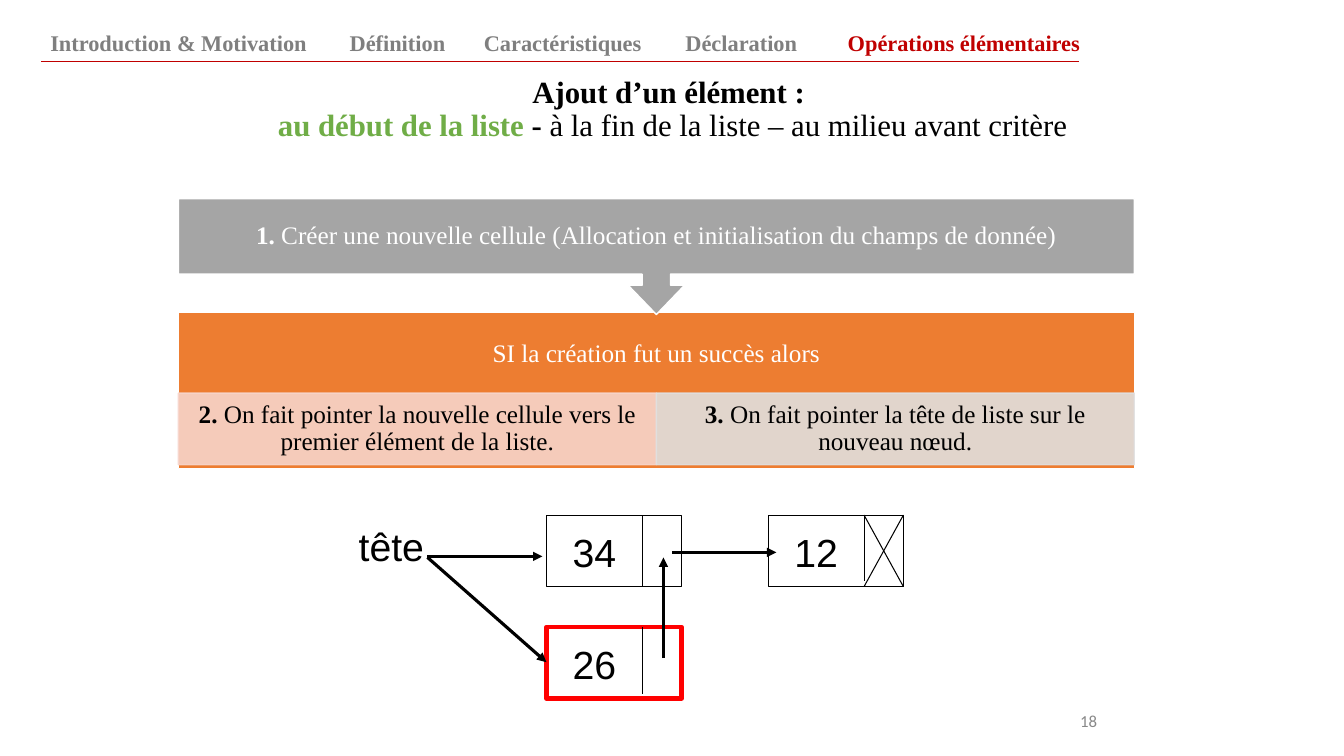
"""Build the slide on adding an element at the start of a linked list."""
from dataclasses import dataclass

from lxml.etree import SubElement
from pptx import Presentation
from pptx.dml.color import RGBColor
from pptx.enum.shapes import MSO_CONNECTOR as Connector, MSO_SHAPE as Preset
from pptx.enum.text import MSO_ANCHOR as Anchor, MSO_AUTO_SIZE as AutoSize, PP_ALIGN as Align
from pptx.oxml.ns import qn
from pptx.shapes.autoshape import Shape
from pptx.slide import Slide
from pptx.util import Inches, Pt


@dataclass(frozen=True)
class Theme:
    serif: str = "Times New Roman"
    sans: str = "Arial"
    number_font: str = "Calibri"
    black: str = "000000"
    white: str = "FFFFFF"
    muted: str = "7F7F7F"
    number_grey: str = "888888"
    accent: str = "C00000"
    green: str = "70AD47"
    grey: str = "A5A5A5"
    orange: str = "ED7D31"
    peach: str = "F7D5CB"
    pale: str = "E0E0E0"
    red: str = "FF0000"
    title_size: float = 22
    tab_size: float = 16
    step_size: float = 18
    node_size: float = 28
    number_size: float = 12
    thin: float = 0.75
    border: float = 1
    arrow: float = 2.25
    thick: float = 3


THEME = Theme()


@dataclass(frozen=True)
class Run:
    text: str
    size: float
    color: str = THEME.black
    bold: bool = False
    font: str = THEME.serif


@dataclass(frozen=True)
class Box:
    left: float
    top: float
    width: float
    height: float

    def lengths(self) -> list[int]:
        return [Inches(value) for value in (self.left, self.top, self.width, self.height)]


@dataclass(frozen=True)
class Tab:
    text: str
    left: float
    width: float
    color: str = THEME.muted
    align: Align = Align.LEFT


@dataclass(frozen=True)
class Node:
    value: str
    left: float
    top: float
    divider: float
    line: str = THEME.black
    weight: float = THEME.thin
    last: bool = False


@dataclass(frozen=True)
class Step:
    number: str
    text: str
    left: float
    color: str


@dataclass(frozen=True)
class Line:
    start: tuple[float, float]
    end: tuple[float, float]


TABS = [
    Tab("Introduction & Motivation", 0.4, 2.98),
    Tab("Définition", 3.37, 1.24),
    Tab("Caractéristiques", 4.7, 1.91),
    Tab("Déclaration", 6.7, 1.35),
    Tab("Opérations élémentaires", 8.24, 2.64, THEME.accent, Align.CENTER),
]
NODES = [
    Node("34", 5.42, 5.11, 0.71),
    Node("12", 7.62, 5.11, 0.65, last=True),
    Node("26", 5.42, 6.22, 0.67, THEME.red, THEME.thick),
]
PANEL = Box(1.77, 3.1, 9.48, 1.55)
CENTER = PANEL.left + PANEL.width / 2
STEPS = [
    Step("2. ", "On fait pointer la nouvelle cellule vers le premier élément de la liste.", PANEL.left, THEME.peach),
    Step("3. ", "On fait pointer la tête de liste sur le nouveau nœud.", CENTER, THEME.pale),
]
ARROWS = [
    Line((6.58, 6.53), (6.58, 5.53)),
    Line((6.67, 5.48), (7.7, 5.48)),
    Line((4.24, 5.52), (5.38, 5.52)),
    Line((4.24, 5.53), (5.42, 6.57)),
]


def write(shape: Shape, lines: list[list[Run]], align: Align = Align.LEFT, anchor: Anchor = Anchor.TOP,
          insets: tuple[float, float, float, float] = (0.1, 0.05, 0.1, 0.05), spacing: float = 1.0) -> None:
    frame = shape.text_frame
    frame.word_wrap = True
    frame.auto_size = AutoSize.NONE
    frame.vertical_anchor = anchor
    frame.margin_left, frame.margin_top, frame.margin_right, frame.margin_bottom = map(Inches, insets)
    paragraph = frame.paragraphs[0]
    paragraph.alignment = align
    paragraph.line_spacing = spacing
    for index, runs in enumerate(lines):
        if index:
            paragraph.add_line_break()
        for item in runs:
            run = paragraph.add_run()
            run.text = item.text
            run.font.name = item.font
            run.font.size = Pt(item.size)
            run.font.bold = item.bold
            run.font.color.rgb = RGBColor.from_string(item.color)


def add_text(slide: Slide, box: Box, run: Run, align: Align = Align.LEFT, anchor: Anchor = Anchor.TOP) -> None:
    write(slide.shapes.add_textbox(*box.lengths()), [[run]], align, anchor)


def paint(shape: Shape, fill: str, line: str, weight: float, alpha: int = 100) -> None:
    shape.shadow.inherit = False
    shape.line.width = Pt(weight)
    for target, color in ((shape.fill, fill), (shape.line.fill, line)):
        target.solid()
        target.fore_color.rgb = RGBColor.from_string(color)
    if alpha < 100:
        for element in shape._element.spPr.iter(qn("a:srgbClr")):
            SubElement(element, qn("a:alpha"), val=str(alpha * 1000))


def add_rectangle(slide: Slide, box: Box, fill: str, line: str, weight: float, alpha: int = 100) -> Shape:
    shape = slide.shapes.add_shape(Preset.RECTANGLE, *box.lengths())
    paint(shape, fill, line, weight, alpha)
    return shape


def add_line(slide: Slide, line: Line, color: str = THEME.black, weight: float = THEME.thin,
             arrow: bool = False) -> None:
    points = [Inches(value) for value in line.start + line.end]
    connector = slide.shapes.add_connector(Connector.STRAIGHT, *points)
    connector.line.color.rgb = RGBColor.from_string(color)
    connector.line.width = Pt(weight)
    if arrow:
        SubElement(connector.line._get_or_add_ln(), qn("a:tailEnd"), type="triangle")
    SubElement(connector._element.spPr, qn("a:effectLst"))


def add_node(slide: Slide, node: Node) -> None:
    box = Box(node.left, node.top, 1.34, 0.71)
    add_rectangle(slide, box, THEME.white, node.line, node.weight)
    split, right, bottom = node.left + 0.95, node.left + box.width, node.top + box.height
    add_line(slide, Line((split, node.top), (split, node.top + node.divider)))
    add_text(slide, Box(node.left + 0.16, node.top + 0.08, 0.71, 0.57),
             Run(node.value, THEME.node_size, font=THEME.sans))
    if node.last:
        add_line(slide, Line((split, node.top), (right, bottom)))
        add_line(slide, Line((split, bottom), (right, node.top)))


def add_steps(slide: Slide) -> None:
    panel = add_rectangle(slide, PANEL, THEME.orange, THEME.white, THEME.border)
    write(panel, [[Run("SI la création fut un succès alors", THEME.step_size, THEME.white)]],
          Align.CENTER, Anchor.MIDDLE, (0.14, 0.14, 0.14, 0.85), 0.9)
    for step in STEPS:
        shape = add_rectangle(slide, Box(step.left, 3.9, PANEL.width / 2, 0.71),
                              step.color, step.color, THEME.border, 89)
        write(shape, [[Run(step.number, THEME.step_size, bold=True), Run(step.text, THEME.step_size)]],
              Align.CENTER, Anchor.MIDDLE, (0.14, 0.02, 0.14, 0.02), 0.9)
    half = [(PANEL.width / 2, 1.97), (PANEL.width / 2, 2.72), (0.14, 2.72), (0.14, 2.83), (0.28, 2.83)]
    outline = [(CENTER + x, y) for x, y in half] + [(CENTER, 3.12)] + [(CENTER - x, y) for x, y in reversed(half)]
    points = [(Inches(x), Inches(y)) for x, y in outline]
    builder = slide.shapes.build_freeform(*points[0])
    builder.add_line_segments(points[1:], close=True)
    callout = builder.convert_to_shape()
    paint(callout, THEME.grey, THEME.white, THEME.border)
    text = "Créer une nouvelle cellule (Allocation et initialisation du champs de donnée)"
    write(callout, [[Run("1. ", THEME.step_size, THEME.white, True), Run(text, THEME.step_size, THEME.white)]],
          Align.CENTER, Anchor.MIDDLE, (0.14, 0.14, 0.14, 0.54), 0.9)


def add_title(slide: Slide) -> None:
    title = slide.shapes.title
    title.left, title.top, title.width, title.height = Box(0.87, 0.68, 11.6, 0.83).lengths()
    size = THEME.title_size
    write(title, [
        [Run("Ajout d’un élément : ", size, bold=True)],
        [Run("au début de la liste ", size, THEME.green, True), Run("- ", size, bold=True),
         Run("à la fin de la liste – au milieu avant critère", size)],
    ], Align.CENTER, Anchor.MIDDLE, spacing=0.9)


def main() -> None:
    presentation = Presentation()
    presentation.slide_width, presentation.slide_height = Inches(13.33), Inches(7.5)
    slide = presentation.slides.add_slide(presentation.slide_layouts[5])
    add_title(slide)
    for tab in TABS:
        add_text(slide, Box(tab.left, 0.19, tab.width, 0.41),
                 Run(tab.text, THEME.tab_size, tab.color, True), tab.align, Anchor.BOTTOM)
    add_line(slide, Line((0.41, 0.61), (10.7, 0.61)), THEME.accent)
    add_steps(slide)
    add_text(slide, Box(3.46, 5.13, 1.04, 0.57), Run("tête", THEME.node_size, font=THEME.sans))
    for node in NODES:
        add_node(slide, node)
    for arrow in ARROWS:
        add_line(slide, arrow, weight=THEME.arrow, arrow=True)
    add_text(slide, Box(8.73, 6.95, 2.25, 0.4),
             Run("18", THEME.number_size, THEME.number_grey, font=THEME.number_font), Align.RIGHT, Anchor.MIDDLE)
    presentation.save("out.pptx")


if __name__ == "__main__":
    main()
